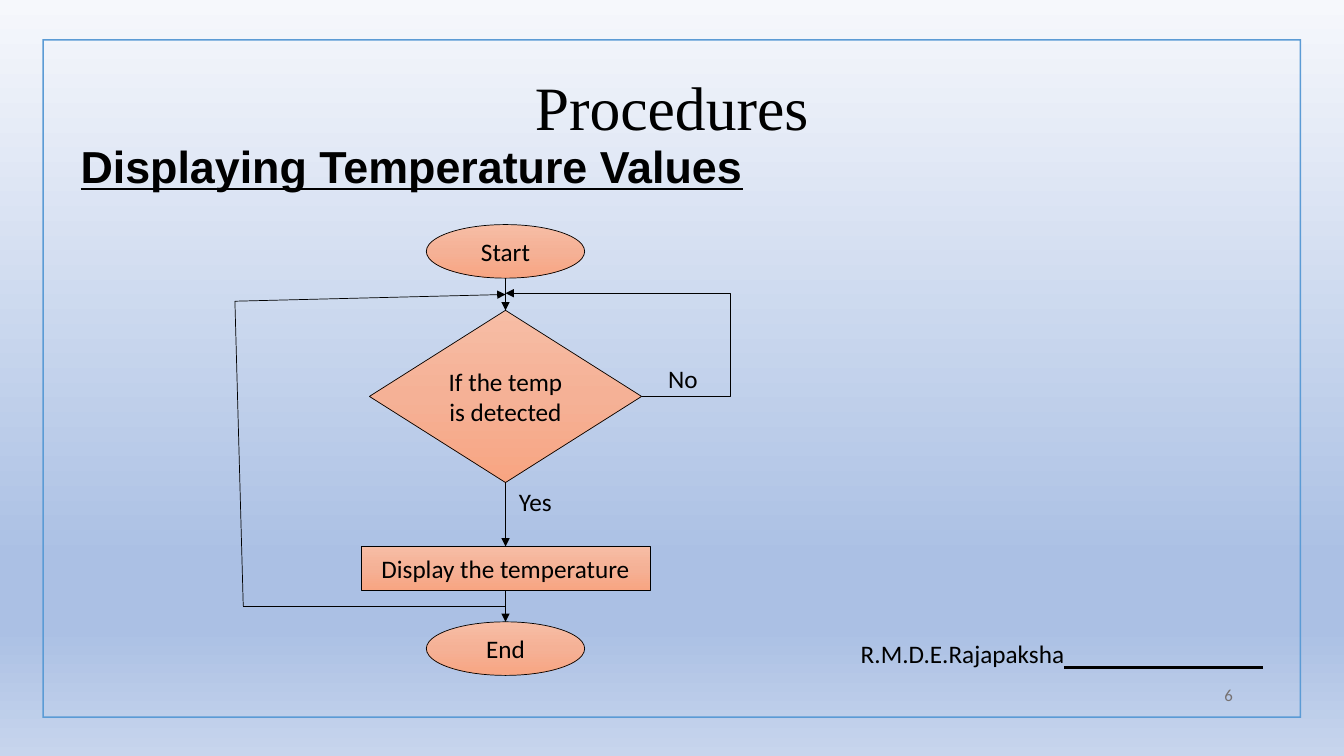
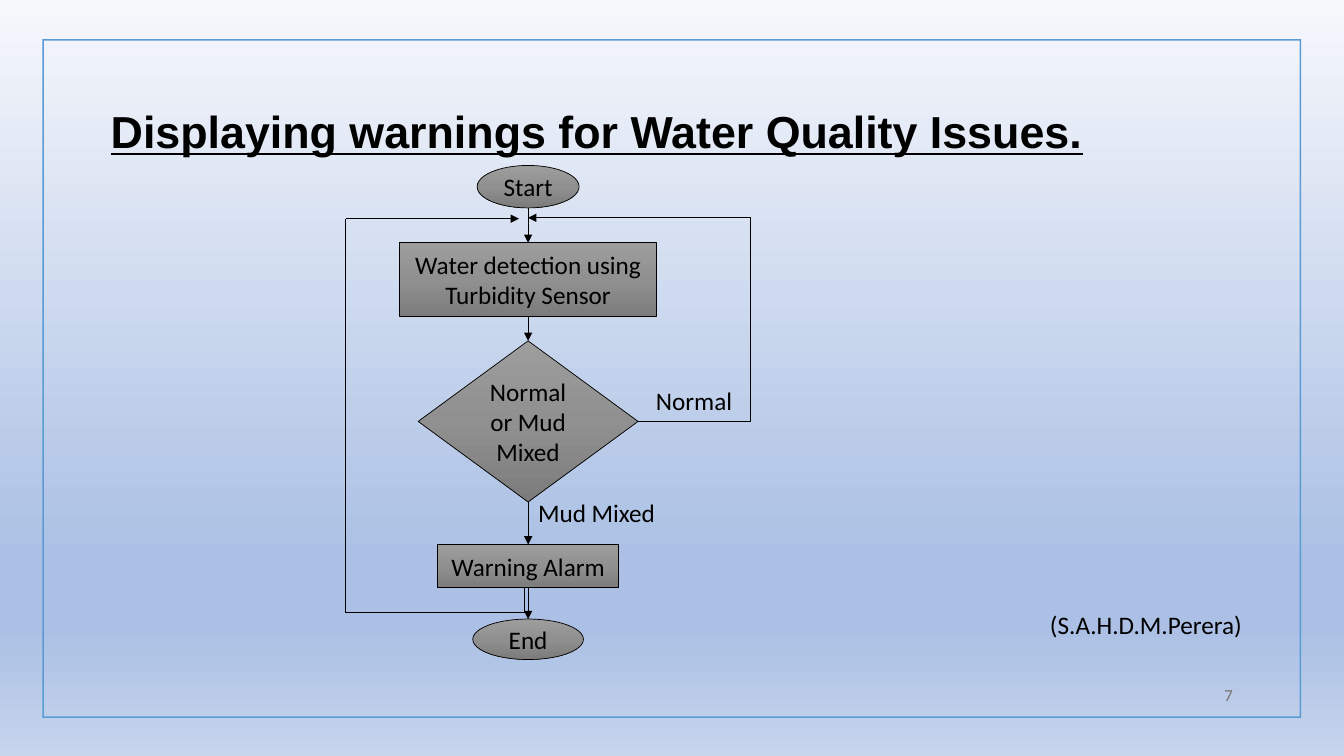
from dataclasses import dataclass
from itertools import pairwise

from lxml import etree
from pptx import Presentation
from pptx.dml.color import RGBColor
from pptx.dml.fill import FillFormat
from pptx.enum.shapes import MSO_CONNECTOR, MSO_SHAPE
from pptx.enum.text import MSO_ANCHOR, PP_ALIGN
from pptx.oxml.ns import qn
from pptx.shapes.autoshape import Shape
from pptx.shapes.connector import Connector
from pptx.slide import Slide, SlideLayout
from pptx.text.text import TextFrame
from pptx.util import Cm, Pt

ELBOW, STRAIGHT = MSO_CONNECTOR.ELBOW, MSO_CONNECTOR.STRAIGHT
OVAL, DIAMOND, RECT = MSO_SHAPE.OVAL, MSO_SHAPE.DIAMOND, MSO_SHAPE.RECTANGLE
FRAME = MSO_SHAPE.FRAME
LEFT, CENTER, RIGHT = PP_ALIGN.LEFT, PP_ALIGN.CENTER, PP_ALIGN.RIGHT
TOP, MIDDLE = MSO_ANCHOR.TOP, MSO_ANCHOR.MIDDLE
TOP_SITE, BOTTOM_SITE = 0, 2
BLANK_LAYOUT = 6

Point = tuple[float, float]
Stops = tuple[tuple[int, str], ...]


@dataclass(frozen=True)
class Theme:
    ink: str = "000000"
    muted: str = "767171"
    border: str = "5B9BD5"
    sky: Stops = ((0, "F6F8FC"), (74, "ABC0E4"), (83, "ABC0E4"), (100, "C7D5ED"))
    peach: Stops = ((0, "F7BDA5"), (50, "F5B196"), (100, "F8A582"))
    grey: Stops = ((0, "9D9D9D"), (50, "909090"), (100, "7C7C7C"))
    title_font: str = "Times New Roman"
    heading_font: str = "Arial"
    body_font: str = "Calibri"
    title_size: float = 44
    heading_size: float = 32
    body_size: float = 18
    number_size: float = 12
    line_width: float = 0.5
    rule_width: float = 2.25


THEME = Theme()


@dataclass(frozen=True)
class Step:
    """A flowchart shape centred on the trunk; lengths in centimetres."""
    kind: MSO_SHAPE
    text: str
    top: float
    width: float
    height: float


@dataclass(frozen=True)
class Label:
    text: str
    left: float
    top: float
    width: float


@dataclass(frozen=True)
class Flowchart:
    trunk: float
    stops: Stops
    steps: tuple[Step, ...]
    labels: tuple[Label, ...]
    retry: tuple[Point, Point]
    retry_x: float
    restart: tuple[Point, ...]


TEMPERATURE = Flowchart(
    trunk=12.74,
    stops=THEME.peach,
    steps=(
        Step(OVAL, "Start", 5.66, 3.99, 1.35),
        Step(DIAMOND, "If the temp is detected", 7.82, 6.86, 4.34),
        Step(RECT, "Display the temperature", 13.77, 7.29, 1.1),
        Step(OVAL, "End", 15.67, 3.99, 1.35),
    ),
    labels=(Label("No", 16.59, 9.02, 1.6), Label("Yes", 12.83, 12.14, 1.6)),
    retry=((16.17, 9.99), (12.74, 7.39)),
    retry_x=18.42,
    restart=((12.74, 15.27), (6.13, 15.27), (5.92, 7.59), (12.74, 7.42)),
)

WATER = Flowchart(
    trunk=13.31,
    stops=THEME.grey,
    steps=(
        Step(OVAL, "Start", 4.17, 2.57, 1.07),
        Step(RECT, "Water detection using Turbidity Sensor", 6.12, 6.48, 1.85),
        Step(DIAMOND, "Normal or Mud Mixed", 8.59, 5.54, 4.06),
        Step(RECT, "Warning Alarm", 13.72, 4.57, 1.09),
        Step(OVAL, "End", 15.6, 2.79, 1.02),
    ),
    labels=(Label("Normal", 16.28, 9.58, 2.57), Label("Mud Mixed", 13.31, 12.4, 3.6)),
    retry=((16.08, 10.62), (13.31, 5.49)),
    retry_x=18.92,
    restart=((13.21, 14.81), (13.21, 15.44), (8.71, 15.44), (8.71, 5.51), (13.08, 5.51)),
)


def write(
    frame: TextFrame,
    text: str,
    *,
    size: float = THEME.body_size,
    font: str = THEME.body_font,
    color: str = THEME.ink,
    align: PP_ALIGN = LEFT,
    anchor: MSO_ANCHOR = TOP,
    bold: bool = False,
    underline: bool = False,
) -> None:
    frame.word_wrap = True
    frame.vertical_anchor = anchor
    para = frame.paragraphs[0]
    para.alignment = align
    span = para.add_run()
    span.text = text
    span.font.size = Pt(size)
    span.font.name = font
    span.font.color.rgb = RGBColor.from_string(color)
    span.font.bold = bold
    span.font.underline = underline


def add_text(
    page: Slide, text: str, left: float, top: float, width: float, height: float, **style
) -> None:
    box = page.shapes.add_textbox(Cm(left), Cm(top), Cm(width), Cm(height))
    write(box.text_frame, text, **style)


def add_heading(page: Slide, text: str, left: float, top: float) -> None:
    add_text(page, text, left, top, 29, 1.5, size=THEME.heading_size,
             font=THEME.heading_font, bold=True, underline=True)


def add_author(page: Slide, text: str, right: float, top: float) -> None:
    width = 8
    add_text(page, text, right - width, top, width, 1.02, align=RIGHT)


def fill_downward(fill: FillFormat, owner: etree.ElementBase, stops: Stops) -> None:
    """Fill with a top-to-bottom gradient that may have any number of stops."""
    fill.gradient()
    fill.gradient_angle = 270
    stop_list = owner.find(".//" + qn("a:gsLst"))
    for old_stop in list(stop_list):
        stop_list.remove(old_stop)
    for percent, color in stops:
        stop = etree.SubElement(stop_list, qn("a:gs"), pos=str(percent * 1000))
        etree.SubElement(stop, qn("a:srgbClr"), val=color)


def add_line(
    page: Slide,
    start: Point,
    end: Point,
    *,
    kind: MSO_CONNECTOR = STRAIGHT,
    arrow: bool = True,
    width: float = THEME.line_width,
) -> Connector:
    line = page.shapes.add_connector(kind, *(Cm(value) for value in (*start, *end)))
    line.line.color.rgb = RGBColor.from_string(THEME.ink)
    line.line.width = Pt(width)
    properties = line.element.spPr
    if arrow:
        etree.SubElement(properties.find(qn("a:ln")), qn("a:tailEnd"), type="triangle")
    etree.SubElement(properties, qn("a:effectLst"))
    return line


def add_elbow(page: Slide, start: Point, end: Point, turn_x: float) -> None:
    """Arrow that runs sideways to turn_x, then up or down, then back to end."""
    elbow = add_line(page, start, end, kind=ELBOW)
    ratio = (turn_x - start[0]) / (end[0] - start[0])
    geometry = elbow.element.spPr.find(qn("a:prstGeom"))
    adjustments = geometry.find(qn("a:avLst"))
    if adjustments is None:
        adjustments = etree.SubElement(geometry, qn("a:avLst"))
    etree.SubElement(adjustments, qn("a:gd"), name="adj1", fmla=f"val {round(ratio * 100000)}")


def add_step(page: Slide, step: Step, trunk: float, stops: Stops) -> Shape:
    shape = page.shapes.add_shape(
        step.kind, Cm(trunk - step.width / 2), Cm(step.top), Cm(step.width), Cm(step.height)
    )
    shape.shadow.inherit = False
    fill_downward(shape.fill, shape.element, stops)
    shape.line.color.rgb = RGBColor.from_string(THEME.ink)
    shape.line.width = Pt(THEME.line_width)
    write(shape.text_frame, step.text, align=CENTER, anchor=MIDDLE)
    return shape


def add_flowchart(page: Slide, chart: Flowchart) -> None:
    placed = [(step, add_step(page, step, chart.trunk, chart.stops)) for step in chart.steps]
    for (step, shape), (following, target) in pairwise(placed):
        arrow = add_line(
            page, (chart.trunk, step.top + step.height), (chart.trunk, following.top)
        )
        if step.kind != OVAL:
            arrow.begin_connect(shape, BOTTOM_SITE)
        arrow.end_connect(target, TOP_SITE)
    add_elbow(page, *chart.retry, chart.retry_x)
    for start, end in pairwise(chart.restart):
        add_line(page, start, end, arrow=end == chart.restart[-1])
    for label in chart.labels:
        add_text(page, label.text, label.left, label.top, label.width, 1.02)


def style_layout(layout: SlideLayout, page: Slide) -> None:
    """Give the layout its background and border; page lends its shape factory."""
    fill_downward(layout.background.fill, layout.element, THEME.sky)
    border = page.shapes.add_shape(FRAME, Cm(1.07), Cm(0.99), Cm(31.72), Cm(17.1))
    border.adjustments[0] = 0.002
    border.shadow.inherit = False
    border.fill.solid()
    border.fill.fore_color.rgb = RGBColor.from_string(THEME.border)
    border.line.fill.background()
    layout.shapes.element.append(border.element)


def add_number(page: Slide, number: int) -> None:
    add_text(page, str(number), 23.7, 16.99, 7.62, 1.02, size=THEME.number_size,
             color=THEME.muted, align=RIGHT, anchor=MIDDLE)


def main() -> None:
    deck = Presentation()
    deck.slide_width, deck.slide_height = Cm(33.87), Cm(19.05)
    layout = deck.slide_layouts[BLANK_LAYOUT]
    temperature_page = deck.slides.add_slide(layout)
    water_page = deck.slides.add_slide(layout)
    style_layout(layout, temperature_page)

    add_text(temperature_page, "Procedures", 1.78, 1.6, 30.3, 2,
             size=THEME.title_size, font=THEME.title_font, align=CENTER)
    add_heading(temperature_page, "Displaying Temperature Values", 1.78, 3.38)
    add_flowchart(temperature_page, TEMPERATURE)
    add_author(temperature_page, "R.M.D.E.Rajapaksha", 27.07, 15.95)
    add_line(temperature_page, (26.82, 16.81), (31.83, 16.81),
             arrow=False, width=THEME.rule_width)

    add_heading(water_page, "Displaying warnings for Water Quality Issues.", 2.54, 2.5)
    add_flowchart(water_page, WATER)
    add_author(water_page, "(S.A.H.D.M.Perera)", 31.55, 15.24)

    for number, page in enumerate(deck.slides, start=6):
        add_number(page, number)
    deck.save("out.pptx")


if __name__ == "__main__":
    main()
